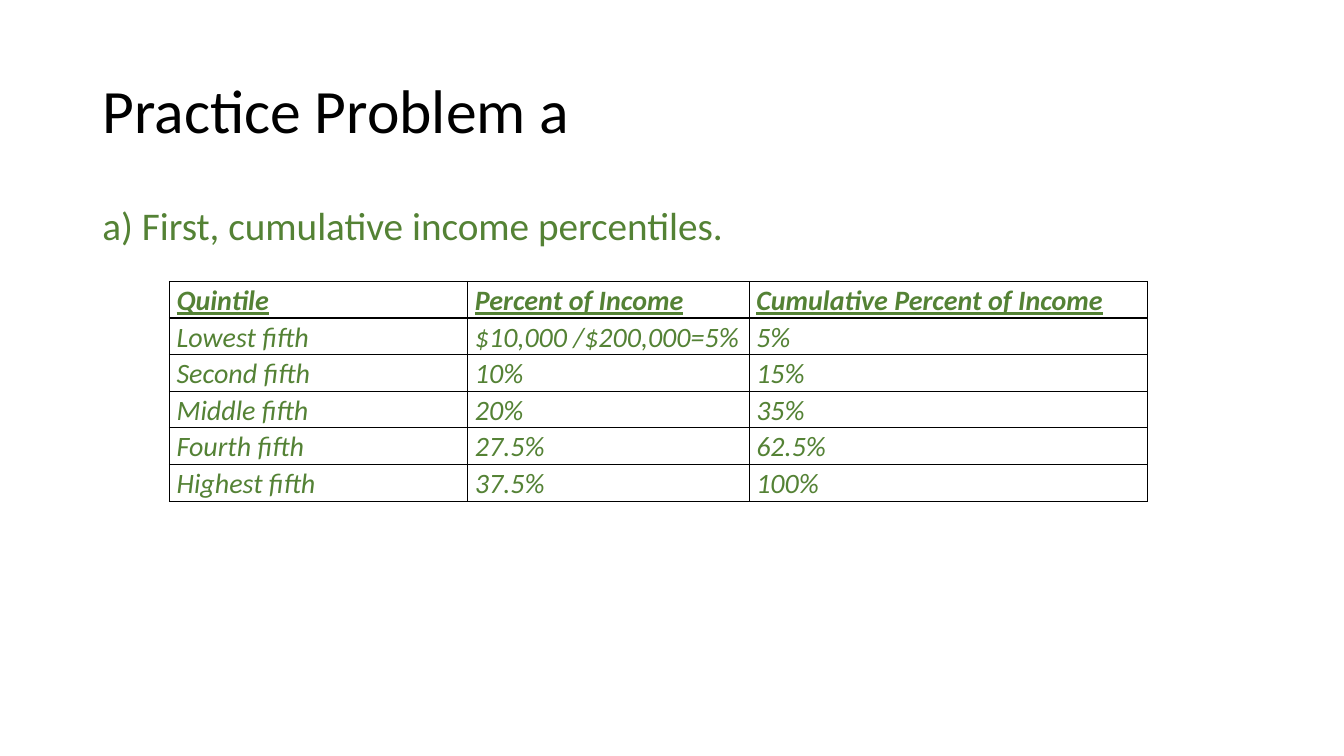
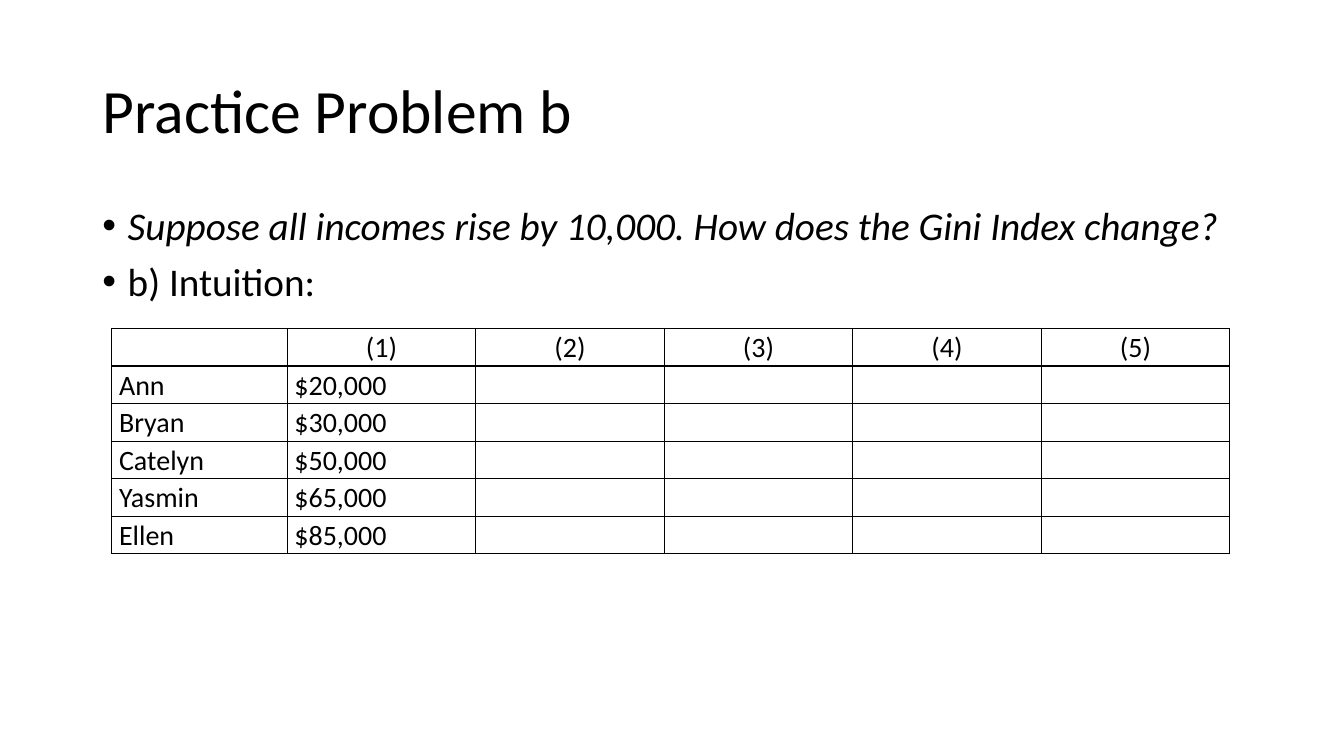
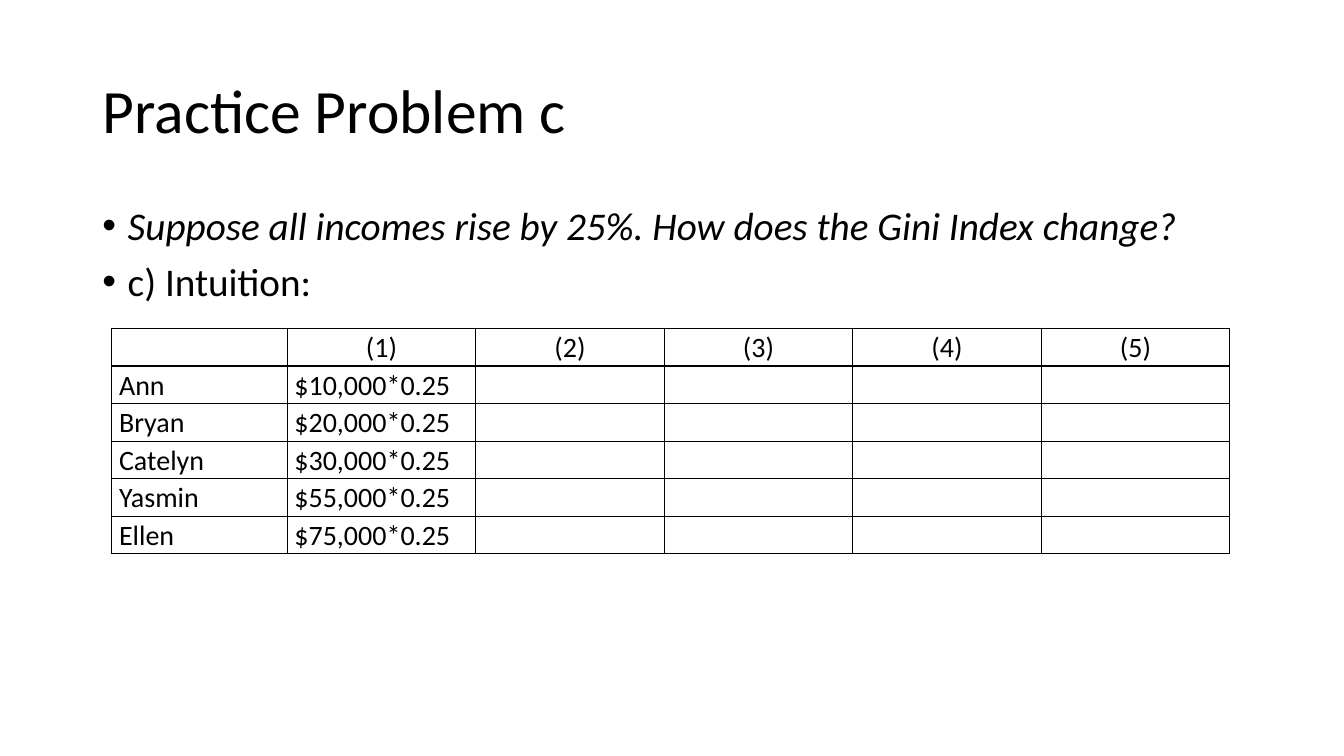
from lxml import etree
from pptx import Presentation
from pptx.dml.color import RGBColor
from pptx.enum.text import MSO_ANCHOR, PP_ALIGN
from pptx.oxml.ns import qn
from pptx.util import Cm, Pt

LEFT, CENTER = PP_ALIGN.LEFT, PP_ALIGN.CENTER
TOP, MIDDLE = MSO_ANCHOR.TOP, MSO_ANCHOR.MIDDLE

BLACK = RGBColor(0x00, 0x00, 0x00)
GREEN = RGBColor(0x54, 0x82, 0x35)
FONT = "Calibri"
TEXT_LEFT, TEXT_WIDTH = Cm(2.33), Cm(29.21)
BULLET_INDENT = Cm(0.64)
CELL_MARGIN = Cm(0.18)
BORDER_WIDTH = Pt(1)

NAMES = ["Ann", "Bryan", "Catelyn", "Yasmin", "Ellen"]


def format_paragraph(paragraph, size, color, line_spacing, italic=False):
    paragraph.line_spacing = line_spacing
    for run in paragraph.runs:
        run.font.name = FONT
        run.font.size = Pt(size)
        run.font.color.rgb = color
        run.font.italic = italic


def add_borders(cell):
    properties = cell._tc.get_or_add_tcPr()
    for position, side in enumerate(("a:lnL", "a:lnR", "a:lnT", "a:lnB")):
        line = etree.Element(qn(side), w=str(BORDER_WIDTH))
        fill = etree.SubElement(line, qn("a:solidFill"))
        etree.SubElement(fill, qn("a:srgbClr"), val=str(BLACK))
        properties.insert(position, line)


def_columns = [Cm(4.42)] + [Cm(4.75)] * 5
income_headers = ["", "(1)", "(2)", "(3)", "(4)", "(5)"]
income_style = {
    "color": BLACK, "bulleted": True, "left": Cm(2.82), "top": Cm(8.28),
    "height": Cm(5.67), "columns": def_columns, "header_align": CENTER,
}
quintile_style = {
    "color": GREEN, "bulleted": False, "left": Cm(4.27), "top": Cm(7.09),
    "height": Cm(5.54), "columns": [Cm(7.52), Cm(7.09), Cm(10.03)],
    "header_align": LEFT,
}

quintile_rows = [
    ["Quintile", "Percent of Income", "Cumulative Percent of Income"],
    ["Lowest fifth", "$10,000 /$200,000=5%", "5%"],
    ["Second fifth", "10%", "15%"],
    ["Middle fifth", "20%", "35%"],
    ["Fourth fifth", "27.5%", "62.5%"],
    ["Highest fifth", "37.5%", "100%"],
]
raised_incomes = ["$20,000", "$30,000", "$50,000", "$65,000", "$85,000"]
scaled_incomes = [f"${amount},000*0.25" for amount in (10, 20, 30, 55, 75)]
raised_rows, scaled_rows = [
    [income_headers] + [[name, income] + [""] * 4
                        for name, income in zip(NAMES, incomes)]
    for incomes in (raised_incomes, scaled_incomes)
]

problems = [
    ("a", ["a) First, cumulative income percentiles."],
     quintile_rows, quintile_style),
    ("b", ["Suppose all incomes rise by 10,000. How does the Gini Index change?",
           "b) Intuition:"], raised_rows, income_style),
    ("c", ["Suppose all incomes rise by 25%. How does the Gini Index change?",
           "c) Intuition:"], scaled_rows, income_style),
]

presentation = Presentation()
presentation.slide_width = Cm(33.87)
presentation.slide_height = Cm(19.05)
title_only = presentation.slide_layouts[5]

for letter, statements, rows, style in problems:
    slide = presentation.slides.add_slide(title_only)
    color, bulleted = style["color"], style["bulleted"]

    title = slide.shapes.title
    title.left, title.top = TEXT_LEFT, Cm(1.01)
    title.width, title.height = TEXT_WIDTH, Cm(3.68)
    title.text_frame.text = f"Practice Problem {letter}"
    title.text_frame.vertical_anchor = MIDDLE
    title_paragraph = title.text_frame.paragraphs[0]
    title_paragraph.alignment = LEFT
    format_paragraph(title_paragraph, 44, BLACK, 0.9)

    body = slide.shapes.add_textbox(TEXT_LEFT, Cm(5.07), TEXT_WIDTH, Cm(12.09))
    body.text_frame.word_wrap = True
    body.text_frame.vertical_anchor = TOP
    body.text_frame.text = "\n".join(statements)
    for index, paragraph in enumerate(body.text_frame.paragraphs):
        format_paragraph(paragraph, 28, color, 0.9,
                         italic=bulleted and index == 0)
        paragraph.space_before = Pt(10)
        if bulleted:
            properties = paragraph._p.get_or_add_pPr()
            properties.set("marL", str(BULLET_INDENT))
            properties.set("indent", str(-BULLET_INDENT))
            etree.SubElement(properties, qn("a:buFont"), typeface="Arial")
            etree.SubElement(properties, qn("a:buChar"), char="•")

    columns = style["columns"]
    table = slide.shapes.add_table(
        len(rows), len(columns), style["left"], style["top"],
        sum(columns), style["height"]).table
    table.first_row = table.horz_banding = False
    for column, width in zip(table.columns, columns):
        column.width = width
    for row_index, row in enumerate(rows):
        for column_index, text in enumerate(row):
            cell = table.cell(row_index, column_index)
            cell.fill.background()
            add_borders(cell)
            cell.margin_left = cell.margin_right = CELL_MARGIN
            cell.margin_top = cell.margin_bottom = 0
            cell.text_frame.text = text
            paragraph = cell.text_frame.paragraphs[0]
            is_header = row_index == 0
            paragraph.alignment = style["header_align"] if is_header else LEFT
            format_paragraph(paragraph, 20, color, 1.07, italic=not bulleted)
            for run in paragraph.runs:
                run.font.bold = run.font.underline = is_header and not bulleted

presentation.save("out.pptx")
